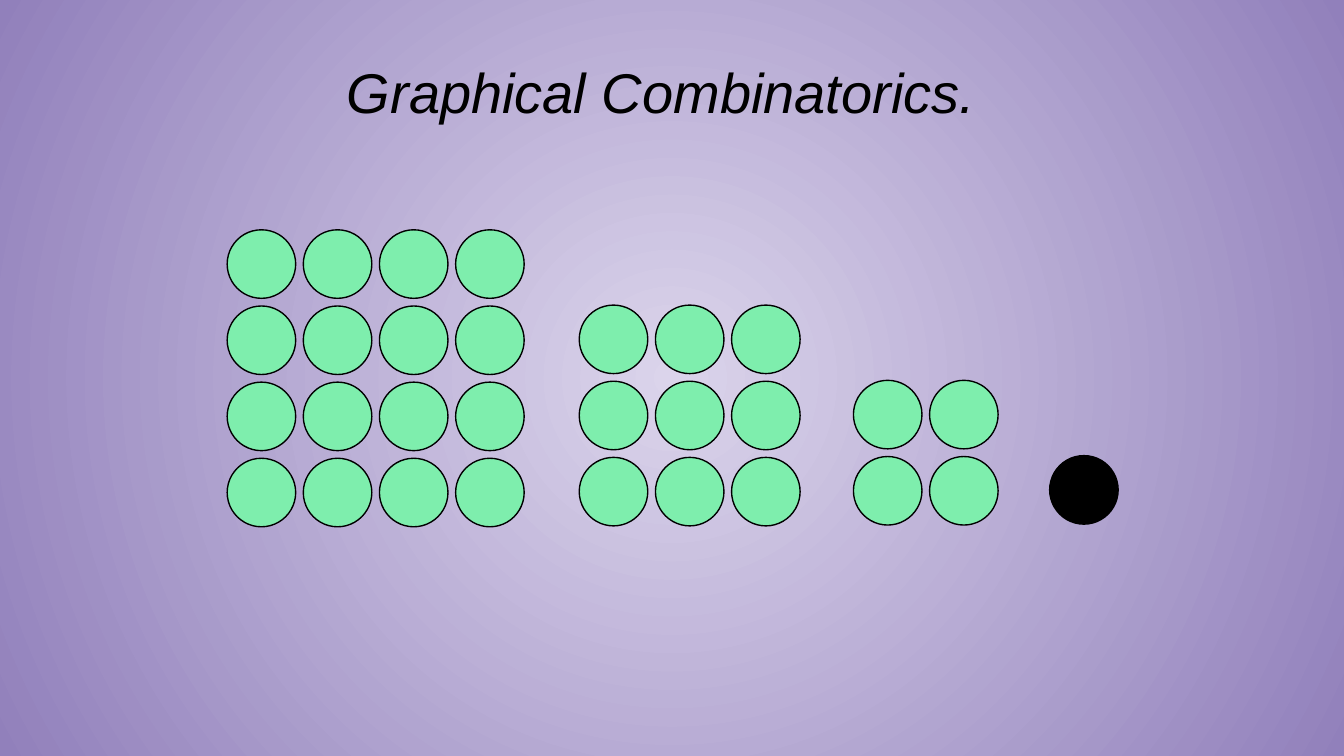
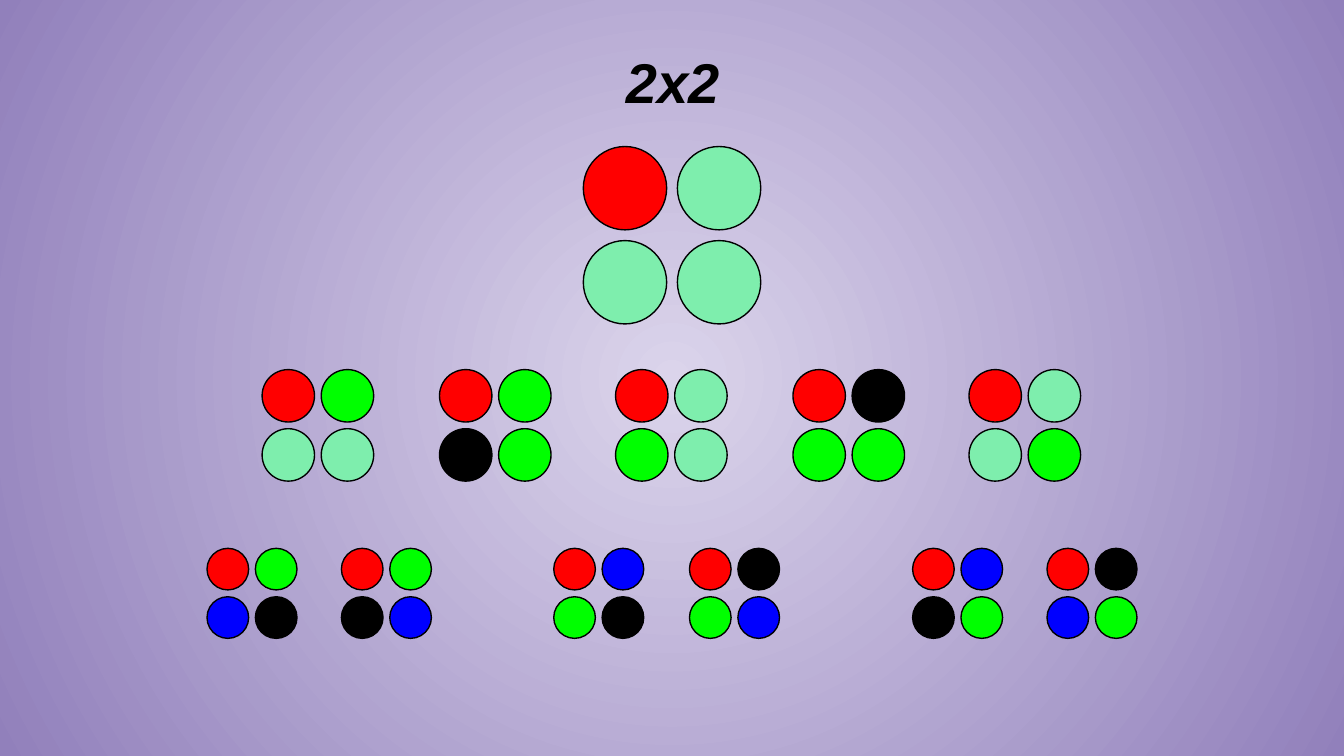
from lxml import etree
from pptx import Presentation
from pptx import util as u
from pptx.dml.color import RGBColor
from pptx.enum import shapes, text
from pptx.oxml.ns import qn

MINT, BLACK = "7EEEAD", "000000"
COLORS = {"M": MINT, "R": "FF0000", "G": "00FF00", "B": "0000FF", "K": BLACK}
rgb = RGBColor.from_string


def add_text(s, content, x, y, w, h, size=30, font="Arial", color=BLACK, bold=False, italic=True):
    tf = s.shapes.add_textbox(u.Inches(x), u.Inches(y), u.Inches(w), u.Inches(h)).text_frame
    tf.word_wrap = True
    tf.vertical_anchor = text.MSO_ANCHOR.TOP
    tf.margin_left = tf.margin_right = tf.margin_top = tf.margin_bottom = u.Inches(0.1)
    p = tf.paragraphs[0]
    p.alignment = text.PP_ALIGN.CENTER
    r = p.add_run()
    r.text = content
    r.font.name, r.font.size = font, u.Pt(size)
    r.font.bold, r.font.italic = bold, italic
    r.font.color.rgb = rgb(color)


def add_circle(parent, x, y, d, color):
    sp = parent.add_shape(shapes.MSO_SHAPE.OVAL, u.Inches(x), u.Inches(y), u.Inches(d), u.Inches(d))
    sp.shadow.inherit = False
    sp.fill.solid()
    sp.fill.fore_color.rgb = rgb(color)
    sp.line.color.rgb = rgb(BLACK)
    sp.line.width = u.Pt(0.75)


# 16:9 deck
prs = Presentation()
prs.slide_width, prs.slide_height = u.Inches(10), u.Inches(10 * 9 / 16)
slides = [prs.slides.add_slide(prs.slide_layouts[6]) for _ in range(2)]

# Shared background: radial gradient from the centre
for s in slides:
    fill = s.background.fill
    fill.gradient()
    for stop, color in zip(fill.gradient_stops, ("DBD4EB", "9180BB")):
        stop.color.rgb = rgb(color)
    grad = s.element.find(".//" + qn("a:gradFill"))
    grad.remove(grad.find(qn("a:lin")))
    radial = etree.SubElement(grad, qn("a:path"), path="circle")
    etree.SubElement(radial, qn("a:fillToRect"), l="50000", t="50000", r="50000", b="50000")

# Slide 1: square grids from 4x4 down to a single circle
s = slides[0]
pitch = 1.7 / 3
for n, left, top, color in [(4, 1.69, 1.71, MINT), (3, 4.31, 2.27, MINT),
                            (2, 6.35, 2.83, MINT), (1, 7.81, 3.39, BLACK)]:
    for col in range(n):
        for row in range(n):
            add_circle(s.shapes, left + col * pitch, top + row * pitch, 0.51, color)
add_text(s, "Graphical Combinatorics.", 1.42, 0.33, 7, 0.83)

# Slide 2: colourings of the 2x2 square, each read down its columns
s = slides[1]
add_text(s, "2x2", 4.17, 0.25, 1.67, 0.75, bold=True)
tiers = [
    (1.09, 0.62, 0.7, [(4.34, "RMMM")]),
    (2.75, 0.39, 0.44, [(1.95, "RMGM"), (3.27, "RKGG"), (4.58, "RGMM"),
                        (5.9, "RGKG"), (7.21, "RMMG")]),
    (4.08, 0.31, 0.36, [(1.54, "RBGK"), (2.54, "RKGB"), (4.12, "RGBK"),
                        (5.13, "RGKB"), (6.79, "RKBG"), (7.79, "RBKG")]),
]
for top, size, pitch, squares in tiers:
    for left, pattern in squares:
        group = s.shapes.add_group_shape()
        for i, letter in enumerate(pattern):
            col, row = divmod(i, 2)
            add_circle(group.shapes, left + col * pitch, top + row * pitch, size, COLORS[letter])

prs.save("out.pptx")
